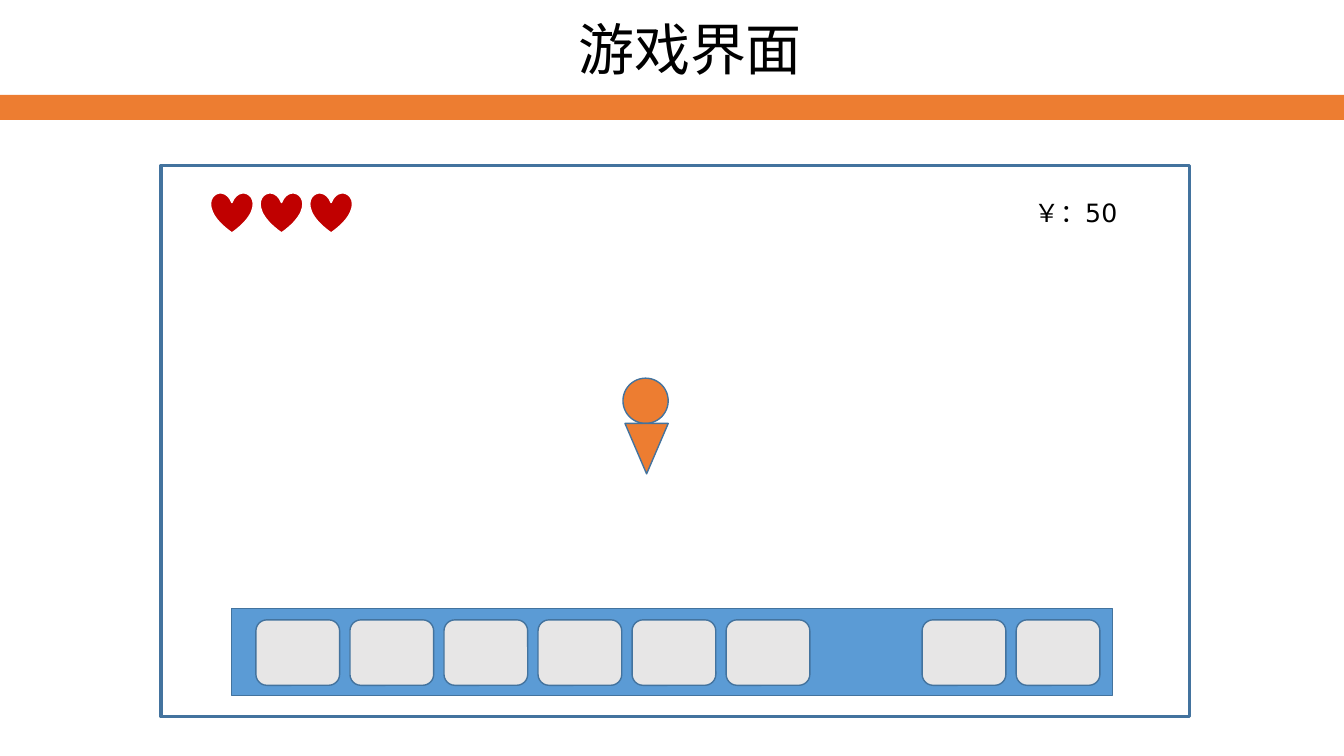
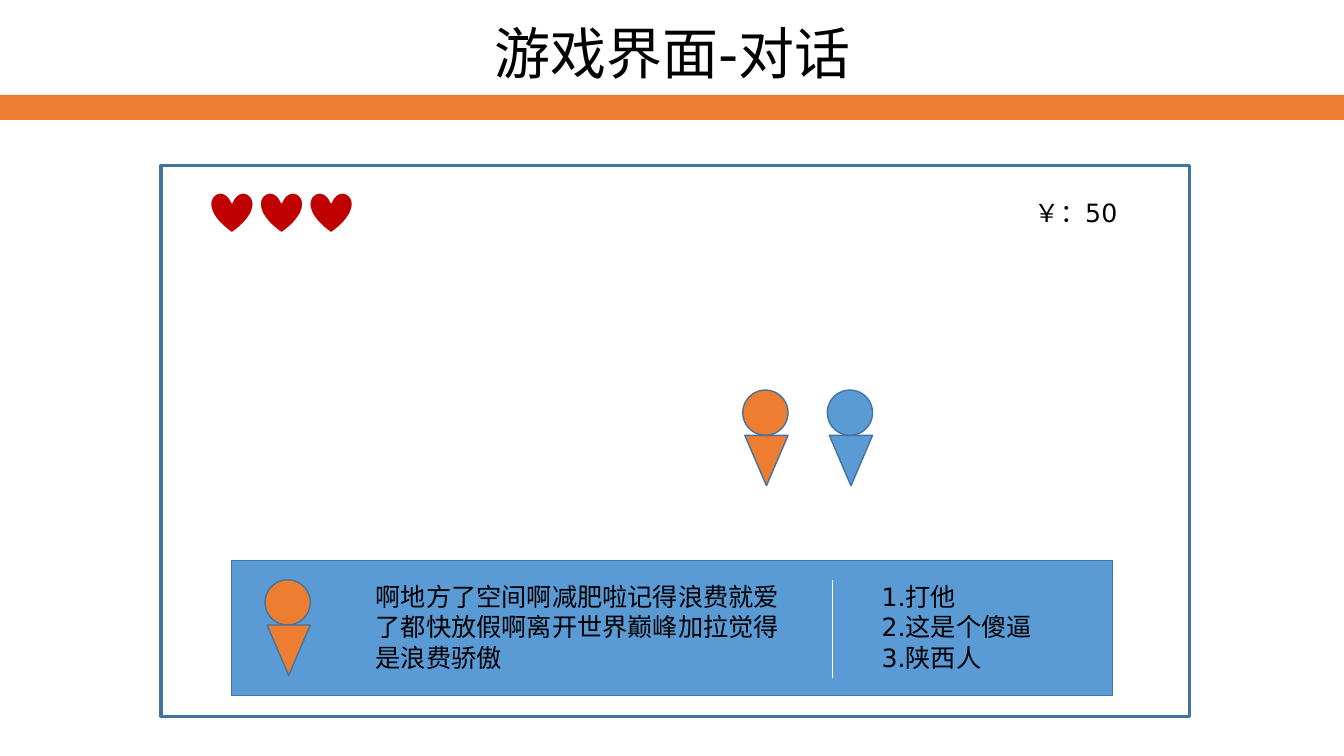
from typing import NamedTuple

from lxml.etree import SubElement
from pptx import Presentation
from pptx.dml.color import RGBColor
from pptx.enum.lang import MSO_LANGUAGE_ID
from pptx.enum.shapes import MSO_CONNECTOR, MSO_SHAPE
from pptx.enum.text import MSO_ANCHOR, MSO_AUTO_SIZE, PP_ALIGN
from pptx.oxml.ns import qn
from pptx.shapes.autoshape import Shape
from pptx.slide import Slide
from pptx.util import Cm, Pt

COLORS = {
    "text": "000000",
    "white": "FFFFFF",
    "orange": "ED7D31",
    "blue": "5B9BD5",
    "outline": "43739E",
    "slot": "E7E6E6",
    "heart": "C00000",
}
FONT = "DejaVu Sans"
SLIDE_WIDTH, SLIDE_HEIGHT = 33.87, 19.05

# Game screen layout, in centimetres
PANEL_LEFT, PANEL_WIDTH, PANEL_BOTTOM = 5.84, 22.2, 17.52
HEART_LEFT, HEART_PITCH, HEART_COUNT = 5.31, 1.25, 3
STATUS_TOP = 4.85
SLOT_PITCH = 2.37
HEAD_SIZE = 1.14


class Box(NamedTuple):
    left: float
    top: float
    width: float
    height: float


class SlotRow(NamedTuple):
    left: float
    count: int


class Figure(NamedTuple):
    left: float
    top: float
    color: str


SLOT_ROWS = [SlotRow(6.45, 6), SlotRow(23.24, 2)]
PLAYER = Figure(15.7, 9.53, "orange")
SPEAKERS = [
    Figure(18.72, 9.83, "orange"),
    Figure(20.85, 9.83, "blue"),
    Figure(6.68, 14.61, "orange"),
]
SPEECH = "啊地方了空间啊减肥啦记得浪费就爱了都快放假啊离开世界巅峰加拉觉得是浪费骄傲"
REPLIES = ["1.打他", "2.这是个傻逼", "3.陕西人"]


def rgb(name: str) -> RGBColor:
    return RGBColor.from_string(COLORS[name])


def add_block(shapes, kind: MSO_SHAPE, box: Box, fill: str,
              line: str | None = "outline", weight: float = 1) -> Shape:
    block = shapes.add_shape(kind, *map(Cm, box))
    block.shadow.inherit = False
    block.fill.solid()
    block.fill.fore_color.rgb = rgb(fill)
    if line:
        block.line.color.rgb = rgb(line)
        block.line.width = Pt(weight)
    else:
        block.line.fill.background()
    return block


def write(holder, lines: list[str], size: float,
          align: PP_ALIGN = PP_ALIGN.LEFT) -> None:
    frame = holder.text_frame
    frame.word_wrap = True
    frame.auto_size = MSO_AUTO_SIZE.NONE
    frame.vertical_anchor = MSO_ANCHOR.TOP
    for index, line in enumerate(lines):
        paragraph = frame.add_paragraph() if index else frame.paragraphs[0]
        paragraph.alignment = align
        run = paragraph.add_run()
        run.text = line
        run.font.name = FONT
        run.font.size = Pt(size)
        run.font.color.rgb = rgb("text")
        run.font.language_id = MSO_LANGUAGE_ID.SIMPLIFIED_CHINESE


def add_text(slide: Slide, box: Box, lines: list[str]) -> None:
    write(slide.shapes.add_textbox(*map(Cm, box)), lines, 18)


def add_figure(slide: Slide, figure: Figure) -> None:
    """A person: a round head on a triangle that points down."""
    parts = slide.shapes.add_group_shape().shapes
    add_block(parts, MSO_SHAPE.OVAL,
              Box(figure.left, figure.top, HEAD_SIZE, HEAD_SIZE), figure.color)
    body = add_block(parts, MSO_SHAPE.ISOSCELES_TRIANGLE,
                     Box(figure.left + 0.05, figure.top + HEAD_SIZE, 1.09, 1.27),
                     figure.color)
    body.rotation = 180


def add_panel(slide: Slide, top: float) -> None:
    add_block(slide.shapes, MSO_SHAPE.RECTANGLE,
              Box(PANEL_LEFT, top, PANEL_WIDTH, PANEL_BOTTOM - top), "blue")


def add_game_slide(deck, title: str, title_box: Box) -> Slide:
    """Title, band, game frame, hearts and money, as on every screen."""
    slide = deck.slides.add_slide(deck.slide_layouts[5])
    heading = slide.shapes.title
    heading.left, heading.top, heading.width, heading.height = map(Cm, title_box)
    write(heading, [title], 40, PP_ALIGN.CENTER)
    add_block(slide.shapes, MSO_SHAPE.RECTANGLE,
              Box(0, 2.39, SLIDE_WIDTH, 0.63), "orange", None)
    add_block(slide.shapes, MSO_SHAPE.RECTANGLE,
              Box(4.06, 4.17, 25.91, 13.89), "white", weight=2.25)
    for index in range(HEART_COUNT):
        add_block(slide.shapes, MSO_SHAPE.HEART,
                  Box(HEART_LEFT + index * HEART_PITCH, STATUS_TOP, 1.07, 1.02),
                  "heart", "white")
    add_text(slide, Box(25.83, STATUS_TOP, 3.25, 1.02), ["￥：50"])
    return slide


def add_divider(slide: Slide, x: float, top: float, bottom: float) -> None:
    divider = slide.shapes.add_connector(
        MSO_CONNECTOR.STRAIGHT, Cm(x), Cm(top), Cm(x), Cm(bottom))
    divider.line.color.rgb = rgb("white")
    divider.line.width = Pt(0.5)
    SubElement(divider._element.spPr, qn("a:effectLst"))


def build_main_screen(deck) -> None:
    slide = add_game_slide(deck, "游戏界面", Box(13.54, 0.25, 7.7, 1.96))
    # Item bar
    add_panel(slide, 15.34)
    for row in SLOT_ROWS:
        for index in range(row.count):
            add_block(slide.shapes, MSO_SHAPE.ROUNDED_RECTANGLE,
                      Box(row.left + index * SLOT_PITCH, 15.62, 2.11, 1.65), "slot")
    add_figure(slide, PLAYER)


def build_dialogue_screen(deck) -> None:
    slide = add_game_slide(deck, "游戏界面-对话", Box(11.46, 0.33, 10.97, 1.96))
    # Dialogue panel
    add_panel(slide, 14.12)
    for speaker in SPEAKERS:
        add_figure(slide, speaker)
    # Speech and replies
    add_text(slide, Box(9.22, 14.53, 11.2, 2.57), [SPEECH])
    add_text(slide, Box(21.97, 14.53, 5.26, 2.57), REPLIES)
    add_divider(slide, 20.98, 14.61, 17.09)


def main() -> None:
    deck = Presentation()
    deck.slide_width, deck.slide_height = Cm(SLIDE_WIDTH), Cm(SLIDE_HEIGHT)
    build_main_screen(deck)
    build_dialogue_screen(deck)
    deck.save("out.pptx")


if __name__ == "__main__":
    main()
